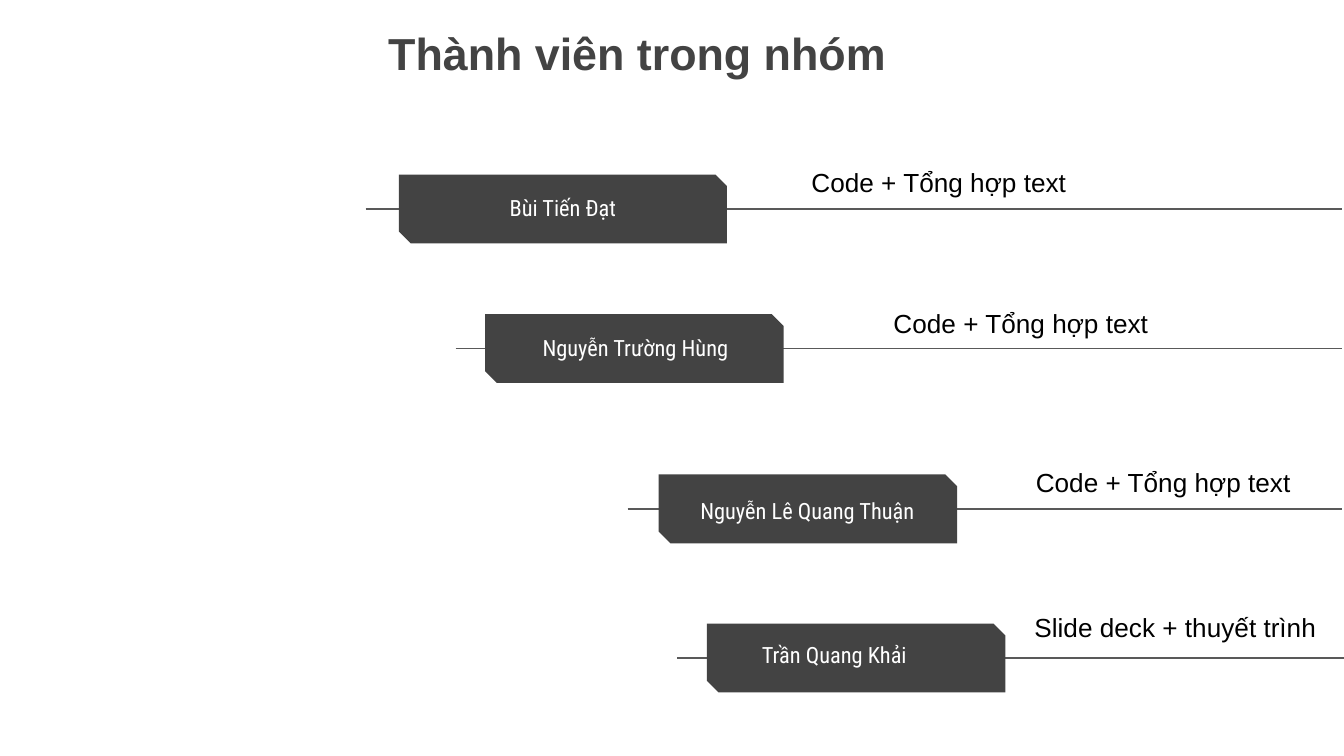
from lxml import etree
from pptx import Presentation
from pptx.dml.color import RGBColor
from pptx.enum.shapes import MSO_CONNECTOR as Connector, MSO_SHAPE as Shape
from pptx.enum.text import MSO_ANCHOR as Anchor, PP_ALIGN as Align
from pptx.oxml.ns import qn
from pptx.util import Cm, Pt

COLORS = {"dark": "434343", "line": "595959", "white": "FFFFFF", "black": "000000"}
TITLE = "Thành viên trong nhóm"
MEMBERS = [
    {"name": "Bùi Tiến Đạt", "role": "Code + Tổng hợp text",
     "line": (6.91, 25.37), "plate": (7.54, 3.3, 6.2),
     "name_at": (7.72, 3.45, 5.84), "role_at": (14.15, 3.02)},
    {"name": "Nguyễn Trường Hùng", "role": "Code + Tổng hợp text",
     "line": (8.61, 25.37), "plate": (9.17, 5.94, 5.64),
     "name_at": (9.32, 6.1, 5.38), "role_at": (15.7, 5.69)},
    {"name": "Nguyễn Lê Quang Thuận", "role": "Code + Tổng hợp text",
     "line": (11.86, 25.37), "plate": (12.45, 8.97, 5.64),
     "name_at": (12.57, 9.19, 5.38), "role_at": (18.39, 8.69)},
    {"name": "Trần Quang Khải", "role": "Slide deck + thuyết trình",
     "line": (12.8, 25.4), "plate": (13.36, 11.79, 5.64),
     "name_at": (12.85, 11.91, 5.84), "role_at": (18.62, 11.43)},
]
PLATE_HEIGHT = 1.3
NAME_HEIGHT = 0.94
ROLE_SIZE = (7.19, 0.86)


def color(key):
    return RGBColor.from_string(COLORS[key])


def add_text(page, text, area, *, size, fill, font="Arial", bold=False,
             anchor=Anchor.TOP, inset=0.25):
    box = page.shapes.add_textbox(*map(Cm, area))
    frame = box.text_frame
    frame.word_wrap = True
    frame.vertical_anchor = anchor
    frame.margin_left = frame.margin_right = Cm(0.25)
    frame.margin_top = frame.margin_bottom = Cm(inset)
    para = frame.paragraphs[0]
    para.alignment = Align.CENTER
    span = para.add_run()
    span.text = text
    span.font.name = font
    span.font.size = Pt(size)
    span.font.bold = bold
    span.font.color.rgb = color(fill)


def add_line(page, start, end, y):
    line = page.shapes.add_connector(
        Connector.STRAIGHT, Cm(start), Cm(y), Cm(end), Cm(y))
    line.line.color.rgb = color("line")
    line.line.width = Pt(0.75)
    etree.SubElement(line._element.spPr, qn("a:effectLst"))


def add_plate(page, left, top, width):
    plate = page.shapes.add_shape(
        Shape.SNIP_2_DIAG_RECTANGLE, Cm(left), Cm(top), Cm(width), Cm(PLATE_HEIGHT))
    plate.adjustments[0] = 0
    plate.adjustments[1] = 0.17
    plate.shadow.inherit = False
    plate.fill.solid()
    plate.fill.fore_color.rgb = color("dark")
    plate.line.fill.background()


def main():
    deck = Presentation()
    deck.slide_width, deck.slide_height = Cm(25.4), Cm(14.29)
    page = deck.slides.add_slide(deck.slide_layouts[6])
    add_text(page, TITLE, (4.8, 0.23, 14.48, 2.62), size=24, fill="dark", bold=True)
    for member in MEMBERS:
        add_line(page, *member["line"], member["plate"][1] + PLATE_HEIGHT / 2)
        add_plate(page, *member["plate"])
        add_text(page, member["name"], (*member["name_at"], NAME_HEIGHT), size=12,
                 fill="white", font="Roboto Condensed", anchor=Anchor.MIDDLE)
        add_text(page, member["role"], (*member["role_at"], *ROLE_SIZE), size=14,
                 fill="black", inset=0.13)
    deck.save("out.pptx")


if __name__ == "__main__":
    main()
